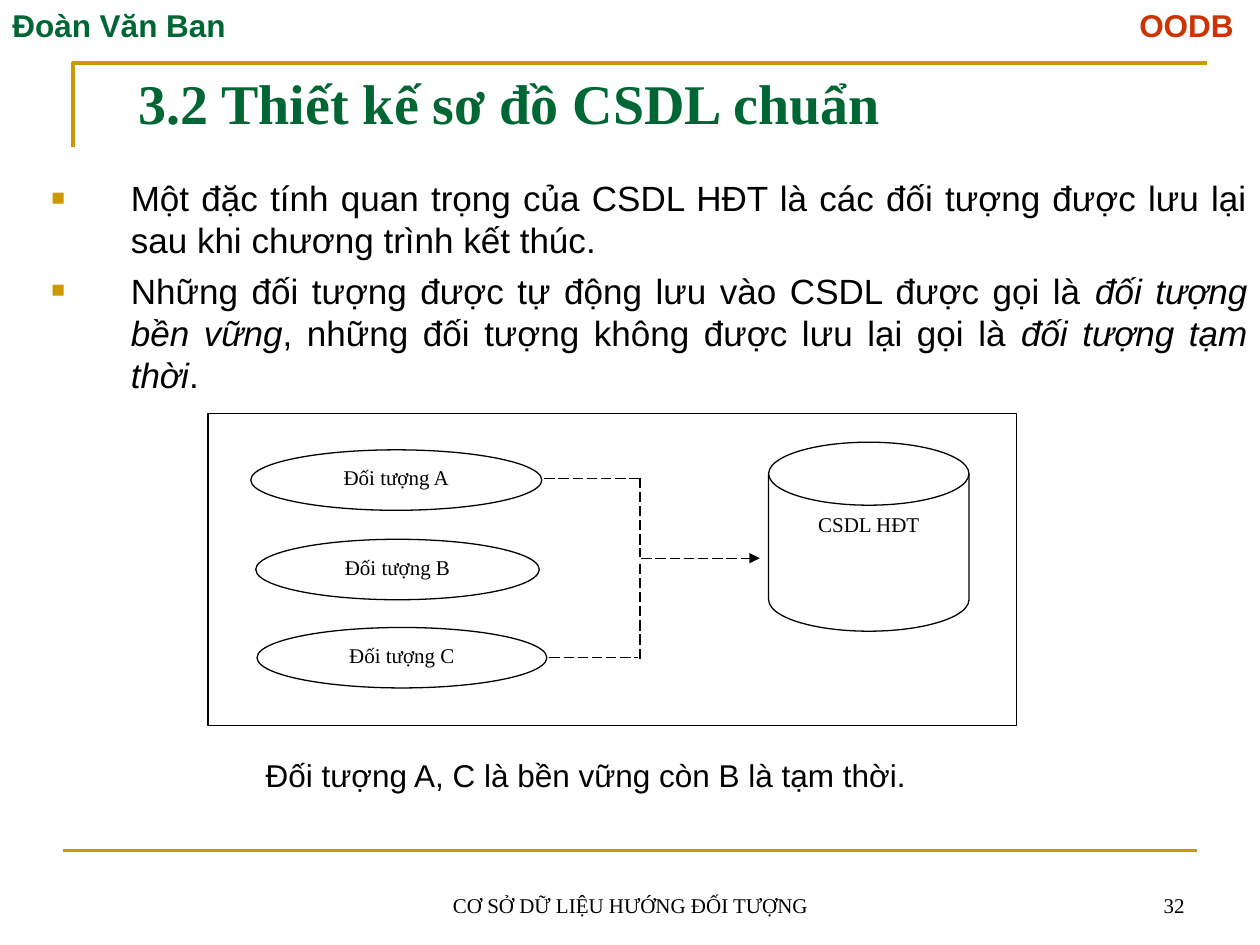
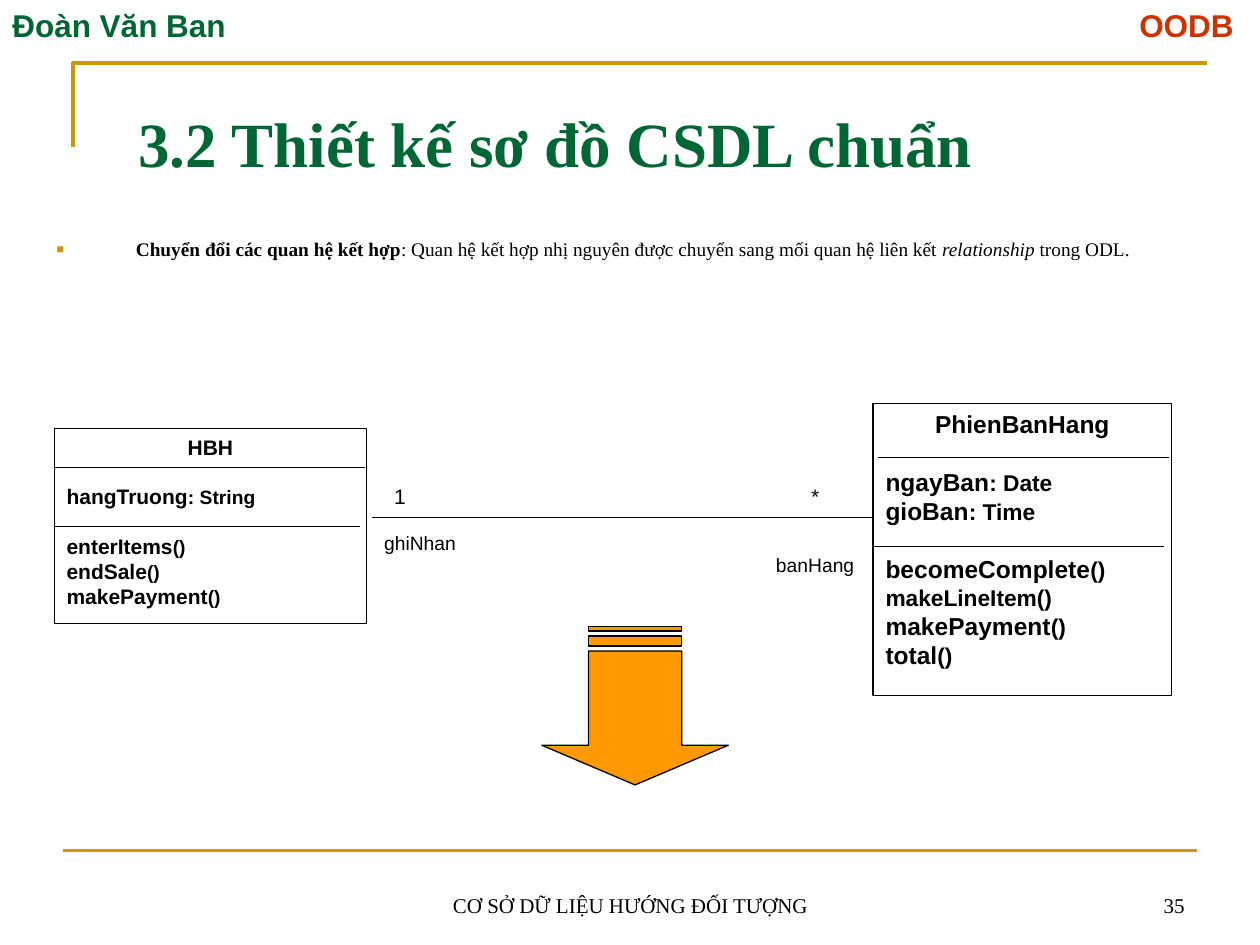
import pptx
import pptx.util
import pptx.dml.color
import pptx.enum.dml
import pptx.enum.shapes
import pptx.enum.text
import pptx.oxml.ns
import lxml.etree

PX = 9144  # EMU per px: the slide is 1000 x 750 px
COLORS = {
    "text": "000000",
    "paper": "FFFFFF",
    "green": "006633",
    "red": "CC3300",
    "gold": "CC9900",
    "orange": "FF9900",
}
SANS, SERIF = "Arial", "Times New Roman"
TITLE = "3.2 Thiết kế sơ đồ CSDL chuẩn"
FOOTER = "CƠ SỞ DỮ LIỆU HƯỚNG ĐỐI TƯỢNG"

SHAPE = pptx.enum.shapes.MSO_SHAPE
ALIGN = pptx.enum.text.PP_ALIGN
ANCHOR = pptx.enum.text.MSO_ANCHOR
DASH = pptx.enum.dml.MSO_LINE.LONG_DASH


def rgb(name):
    return pptx.dml.color.RGBColor.from_string(COLORS[name])


def add_xml(parent, tag, **attrs):
    return lxml.etree.SubElement(parent, pptx.oxml.ns.qn(tag), attrs)


class Deck:
    def __init__(self):
        self.prs = pptx.Presentation()
        self.prs.slide_width = 1000 * PX
        self.prs.slide_height = 750 * PX
        self.s = None

    def new_slide(self, number, title_top, title_size):
        """Start a slide with the shared frame, header, footer and title."""
        self.s = self.prs.slides.add_slide(self.prs.slide_layouts[6])
        self.corner()
        self.line(50, 675, 950, 675, color="gold", width=1.5)
        self.label(0, 0, 500, 40, "Đoàn Văn Ban", size=18, color="green", bold=True)
        self.label(789, 0, 200, 40, "OODB", ALIGN.RIGHT, size=18, color="red", bold=True)
        self.label(342, 683, 317, 50, FOOTER, ALIGN.CENTER, ANCHOR.BOTTOM, font=SERIF)
        self.label(717, 683, 233, 50, str(number), ALIGN.RIGHT, ANCHOR.BOTTOM, font=SERIF)
        self.label(100, title_top, 900, 92, TITLE, anchor=ANCHOR.BOTTOM,
                   font=SERIF, size=title_size, color="green", bold=True)

    def corner(self):
        fb = self.s.shapes.build_freeform(58, 117, scale=PX)
        fb.add_line_segments([(58, 50), (958, 50)], close=False)
        sp = fb.convert_to_shape()
        sp.shadow.inherit = False
        sp.fill.background()
        self.stroke(sp, "gold", 2.25)

    def stroke(self, sp, color="text", width=0.75):
        sp.line.color.rgb = rgb(color)
        sp.line.width = pptx.util.Pt(width)

    def line(self, x1, y1, x2, y2, color="text", width=0.75, dash=None, arrow=False):
        c = self.s.shapes.add_connector(
            pptx.enum.shapes.MSO_CONNECTOR.STRAIGHT, x1 * PX, y1 * PX, x2 * PX, y2 * PX)
        self.stroke(c, color, width)
        if dash:
            c.line.dash_style = dash
        if arrow:
            add_xml(c.line._get_or_add_ln(), "a:tailEnd", type="triangle")
        add_xml(c._element.spPr, "a:effectLst")

    def shape(self, kind, x, y, w, h, fill="paper"):
        sp = self.s.shapes.add_shape(kind, x * PX, y * PX, w * PX, h * PX)
        sp.shadow.inherit = False
        sp.fill.solid()
        sp.fill.fore_color.rgb = rgb(fill)
        self.stroke(sp)
        return sp

    def node(self, kind, x, y, w, h, text):
        sp = self.shape(kind, x, y, w, h)
        tf = self.frame(sp)
        self.paragraph(tf.paragraphs[0], [(text, {})], ALIGN.CENTER, font=SERIF)

    def frame(self, sp, anchor=ANCHOR.TOP, wrap=True):
        tf = sp.text_frame
        tf.word_wrap = wrap
        tf.vertical_anchor = anchor
        tf.margin_left = tf.margin_right = 10 * PX
        tf.margin_top = tf.margin_bottom = 5 * PX
        return tf

    def textbox(self, x, y, w, h, **options):
        sp = self.s.shapes.add_textbox(x * PX, y * PX, w * PX, h * PX)
        return self.frame(sp, **options)

    def label(self, x, y, w, h, text, align=ALIGN.LEFT, anchor=ANCHOR.TOP, wrap=True, **style):
        tf = self.textbox(x, y, w, h, anchor=anchor, wrap=wrap)
        self.paragraph(tf.paragraphs[0], [(text, {})], align, **style)

    def paragraph(self, p, runs, align=ALIGN.LEFT, before=0, **style):
        """Fill p with (text, style changes) runs over a common style."""
        p.alignment = align
        p.space_before = pptx.util.Pt(before)
        for text, changes in runs:
            r = p.add_run()
            r.text = text
            self.style_run(r, **{**style, **changes})

    def style_run(self, r, font=SANS, size=12, color="text", bold=False, italic=False):
        r.font.name = font
        r.font.size = pptx.util.Pt(size)
        r.font.color.rgb = rgb(color)
        r.font.bold = bold
        r.font.italic = italic

    def bullets(self, x, y, w, h, items, before, spacing=None, **style):
        tf = self.textbox(x, y, w, h)
        for i, runs in enumerate(items):
            p = tf.add_paragraph() if i else tf.paragraphs[0]
            self.paragraph(p, runs, ALIGN.JUSTIFY, before, **style)
            if spacing:
                p.line_spacing = spacing
            ppr = p._p.get_or_add_pPr()
            ppr.set("marL", str(63 * PX))
            ppr.set("indent", str(-63 * PX))
            add_xml(add_xml(ppr, "a:buClr"), "a:srgbClr", val=COLORS["gold"])
            add_xml(ppr, "a:buSzPct", val="65000")
            add_xml(ppr, "a:buFont", typeface=SANS)
            add_xml(ppr, "a:buChar", char="■")

    def class_box(self, x, y, w, h, name, sections, size):
        """Draw a UML class; each section holds (name, suffix, suffix size) members."""
        tf = self.frame(self.shape(SHAPE.RECTANGLE, x, y, w, h))
        self.paragraph(tf.paragraphs[0], [(name, {})], ALIGN.CENTER, size=size, bold=True)
        for members in sections:
            for i, (member, suffix) in enumerate(members):
                runs = [(member, {"size": size}), (suffix, {"size": size - 1})]
                self.paragraph(tf.add_paragraph(), [run for run in runs if run[0]],
                               before=0 if i else size * 1.15, bold=True)


def persistence_slide(deck):
    deck.new_slide(32, title_top=21, title_size=32)
    italic = {"italic": True}
    deck.bullets(31, 135, 969, 208, [
        [("Một đặc tính quan trọng của CSDL HĐT là các đối tượng được lưu lại "
          "sau khi chương trình kết thúc.", {})],
        [("Những đối tượng được tự động lưu vào CSDL được gọi là ", {}),
         ("đối tượng bền vững", italic),
         (", những đối tượng không được lưu lại gọi là ", {}),
         ("đối tượng tạm thời", italic),
         (".", {})],
    ], before=5, size=20)

    deck.shape(SHAPE.RECTANGLE, 165, 328, 642, 248)
    for letter, x, y, w in (("A", 199, 357, 231), ("B", 203, 428, 225), ("C", 204, 498, 230)):
        deck.node(SHAPE.OVAL, x, y, w, 48, f"Đối tượng {letter}")
    deck.node(SHAPE.FLOWCHART_MAGNETIC_DISK, 610, 351, 159, 150, "CSDL HĐT")

    for ends in ((432, 380, 508, 380), (436, 522, 506, 522),
                 (508, 379, 508, 442), (508, 523, 508, 445)):
        deck.line(*ends, dash=DASH)
    deck.line(509, 443, 603, 443, dash=DASH, arrow=True)
    deck.label(201, 595, 529, 40, "Đối tượng A, C là bền vững còn B là tạm thời.",
               ALIGN.JUSTIFY, ANCHOR.MIDDLE, wrap=False, size=18)


def association_slide(deck):
    deck.new_slide(35, title_top=56, title_size=36)
    deck.bullets(35, 187, 965, 59, [
        [("Chuyển đổi các quan hệ kết hợp", {"bold": True}),
         (": Quan hệ kết hợp nhị nguyên được chuyển sang mối quan hệ liên kết ", {}),
         ("relationship ", {"italic": True}),
         ("trong ODL.", {})],
    ], before=7.5, spacing=0.8, font=SERIF, size=11)

    arrow = deck.shape(SHAPE.STRIPED_RIGHT_ARROW, 441, 486, 126, 148, "orange")
    arrow.rotation = 90
    arrow.adjustments[0] = 0.5
    arrow.adjustments[1] = 0.25

    deck.line(295, 411, 693, 411)
    for text, x, y, w, h, size in (("1", 303, 379, 120, 63, 12), ("*", 634, 379, 74, 53, 12),
                                   ("ghiNhan", 295, 417, 128, 63, 11),
                                   ("banHang", 606, 434, 138, 63, 11)):
        deck.label(x, y, w, h, text, size=size)

    deck.class_box(43, 340, 248, 155, "HBH", [
        [("hangTruong", ": String")],
        [("enterItems", "()"), ("endSale", "()"), ("makePayment", "()")],
    ], size=12)
    deck.class_box(693, 320, 237, 232, "PhienBanHang", [
        [("ngayBan", ": Date"), ("gioBan", ": Time")],
        [("becomeComplete", "()"), ("", "makeLineItem()"), ("makePayment", "()"),
         ("total", "()")],
    ], size=14)
    for x1, x2, y in ((43, 290, 371), (43, 286, 418), (697, 928, 363), (693, 924, 434)):
        deck.line(x1, y, x2, y)


def main():
    deck = Deck()
    persistence_slide(deck)
    association_slide(deck)
    deck.prs.save("out.pptx")


if __name__ == "__main__":
    main()
